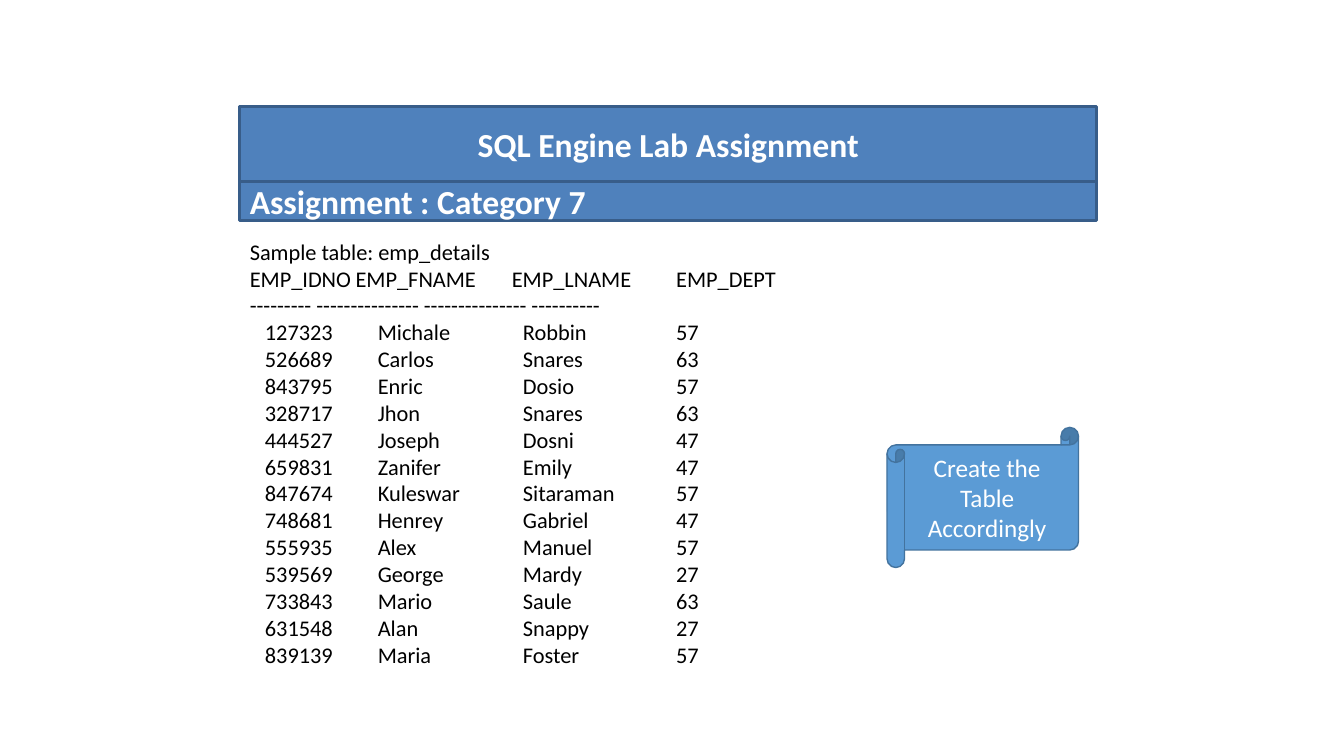
from lxml.etree import SubElement
from pptx import Presentation
from pptx.dml.color import RGBColor
from pptx.enum.shapes import MSO_SHAPE
from pptx.enum.text import MSO_ANCHOR, MSO_AUTO_SIZE, PP_ALIGN
from pptx.oxml.ns import qn
from pptx.util import Inches, Pt

# Grid: one cell is a tenth of an inch
CELL = Inches(0.1)
LEFT, WIDE = 23.8, 85

BAND = {"fill": "4F81BC", "line": "385D89", "weight": 2}
SCROLL = {"fill": "5B9BD5", "line": "43739E", "weight": 1}
HEAD = {"size": Pt(24), "bold": True, "name": "Calibri"}
NOTE = {"size": Pt(18), "bold": False, "name": "Calibri"}
BODY = {"size": Pt(16), "bold": False, "name": "Calibri"}

# Tab stops in grid cells, from the left edge of the text
HEAD_TABS = (10.5, 26, 42.3)
ROW_TABS = (1.5, 12.7, 27.1, 42.3)

FIELDS = ("EMP_IDNO", "EMP_FNAME", "EMP_LNAME", "EMP_DEPT")
STAFF = (
    ("127323", "Michale", "Robbin", "57"),
    ("526689", "Carlos", "Snares", "63"),
    ("843795", "Enric", "Dosio", "57"),
    ("328717", "Jhon", "Snares", "63"),
    ("444527", "Joseph", "Dosni", "47"),
    ("659831", "Zanifer", "Emily", "47"),
    ("847674", "Kuleswar", "Sitaraman", "57"),
    ("748681", "Henrey", "Gabriel", "47"),
    ("555935", "Alex", "Manuel", "57"),
    ("539569", "George", "Mardy", "27"),
    ("733843", "Mario", "Saule", "63"),
    ("631548", "Alan", "Snappy", "27"),
    ("839139", "Maria", "Foster", "57"),
)


def cells(*counts):
    return [round(count * CELL) for count in counts]


def paint(target, code):
    target.rgb = RGBColor.from_string(code)


def apply(target, values):
    for key, value in values.items():
        setattr(target, key, value)


def place(shape, *counts):
    apply(shape, dict(zip(("left", "top", "width", "height"), cells(*counts))))


def coat(shape, look):
    shape.fill.solid()
    paint(shape.fill.fore_color, look["fill"])
    paint(shape.line.color, look["line"])
    shape.line.width = Pt(look["weight"])


def write(para, text, font, color, align=PP_ALIGN.LEFT):
    run = para.add_run()
    run.text = text
    apply(run.font, font)
    paint(run.font.color, color)
    para.alignment = align


def frame(shape, inset=None, anchor=MSO_ANCHOR.MIDDLE):
    box = shape.text_frame
    apply(box, {"word_wrap": True, "auto_size": MSO_AUTO_SIZE.NONE,
                "vertical_anchor": anchor})
    if inset is not None:
        sides = ("margin_left", "margin_right", "margin_top", "margin_bottom")
        apply(box, dict(zip(sides, cells(inset, 0, 0, 0))))
    return box


def set_tabs(para, stops):
    tabs = SubElement(para._p.get_or_add_pPr(), qn("a:tabLst"))
    for stop in cells(*stops):
        SubElement(tabs, qn("a:tab"), pos=str(stop), algn="l")


def add_block(slide, kind, spot, look):
    shape = slide.shapes.add_shape(kind, *cells(*spot))
    shape.shadow.inherit = False
    coat(shape, look)
    return shape


def add_list(slide, spot, lines):
    shape = slide.shapes.add_textbox(*cells(*spot))
    box = frame(shape, anchor=MSO_ANCHOR.TOP)
    apply(box, {"margin_left": CELL, "margin_top": CELL // 2})
    for index, (text, stops) in enumerate(lines):
        para = box.add_paragraph() if index else box.paragraphs[0]
        write(para, text, BODY, "000000")
        if stops:
            set_tabs(para, stops)


def main():
    deck = Presentation()
    deck.slide_width, deck.slide_height = cells(133.33, 75)
    slide = deck.slides.add_slide(deck.slide_layouts[5])

    # Title band
    title = slide.shapes.title
    place(title, LEFT, 10.6, WIDE, 7.4)
    coat(title, BAND)
    # "Engine" stands for the product's own word
    write(frame(title, 0).paragraphs[0], "SQL Engine Lab Assignment",
          HEAD, "FFFFFF", PP_ALIGN.CENTER)

    # Category band
    band = add_block(slide, MSO_SHAPE.RECTANGLE, (LEFT, 18, WIDE, 3.9), BAND)
    write(frame(band, 1).paragraphs[0], "Assignment : Category 7",
          HEAD, "FFFFFF")

    # Scroll with the task
    scroll = add_block(slide, MSO_SHAPE.HORIZONTAL_SCROLL,
                       (88, 42.4, 19, 13.9), SCROLL)
    write(frame(scroll).paragraphs[0], "Create the Table Accordingly",
          NOTE, "FFFFFF", PP_ALIGN.CENTER)

    # Sample table as tabbed text
    rule = " ".join("-" * count for count in (9, 15, 15, 10))
    lines = [("Sample table: emp_details", ()),
             ("\t".join(FIELDS), HEAD_TABS),
             (rule, ())]
    lines += [("\t" + "\t".join(row), ROW_TABS) for row in STAFF]
    add_list(slide, (LEFT, 23.1, WIDE, 44.1), lines)

    deck.save("out.pptx")


if __name__ == "__main__":
    main()
